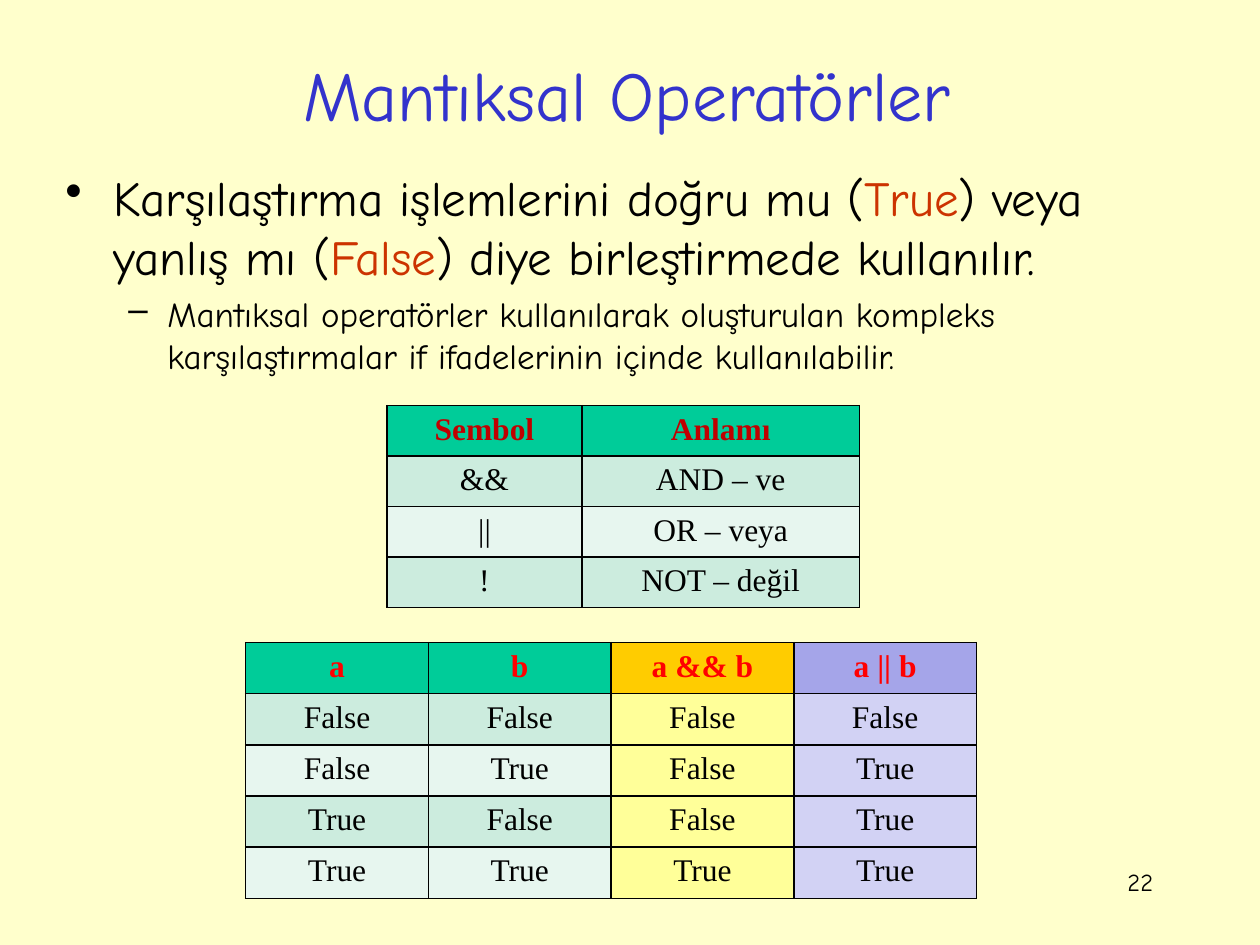
from lxml import etree
from pptx import Presentation
from pptx.dml.color import RGBColor
from pptx.enum.text import MSO_ANCHOR, PP_ALIGN
from pptx.oxml.ns import qn
from pptx.util import Inches, Pt

LEFT, CENTER, RIGHT = PP_ALIGN.LEFT, PP_ALIGN.CENTER, PP_ALIGN.RIGHT
TOP, MIDDLE = MSO_ANCHOR.TOP, MSO_ANCHOR.MIDDLE
WIDTH, HEIGHT = Inches(10), Inches(7.5)
COLUMNS, ROWS = 100, 75
HAND, SERIF = "Comic Neue", "Times New Roman"
BLACK, BLUE, ORANGE = "000000", "3333CC", "CC3300"
GREEN = ("00CC99", "CCECDE", "E7F6EF")
YELLOW = ("FFCC00", "FFFF99", "FFFF99")
VIOLET = ("A5A5E9", "D2D2F4", "D2D2F4")


def color(value):
    """Turn a hex string into a colour."""
    return RGBColor.from_string(value)


def across(columns):
    """Give the length of a number of grid columns."""
    return round(WIDTH * columns / COLUMNS)


def down(rows):
    """Give the length of a number of grid rows."""
    return round(HEIGHT * rows / ROWS)


def add_span(para, text, size, font, ink=BLACK, bold=False):
    """Add one formatted run to a paragraph."""
    span = para.add_run()
    span.text = text
    span.font.size = Pt(size)
    span.font.name = font
    span.font.bold = bold
    span.font.color.rgb = color(ink)


def add_box(page, left, top, width, height, anchor=TOP):
    """Add a wrapping text box and return its text frame."""
    box = page.shapes.add_textbox(across(left), down(top), across(width), down(height))
    frame = box.text_frame
    frame.word_wrap = True
    frame.vertical_anchor = anchor
    return frame


def add_line(page, text, place, size, ink, align, anchor=TOP):
    """Add a box that holds one line of text."""
    para = add_box(page, *place, anchor=anchor).paragraphs[0]
    para.alignment = align
    add_span(para, text, size, HAND, ink)


def add_bullet(para, mark, margin, hang, size, spans):
    """Fill a paragraph as a hanging bullet point."""
    para.alignment = LEFT
    para.space_before = Pt(size * 0.2)
    for text, ink in spans:
        add_span(para, text, size, HAND, ink)
    props = para._p.get_or_add_pPr()
    props.set("marL", str(across(margin)))
    props.set("indent", str(-across(hang)))
    etree.SubElement(props, qn("a:buChar"), char=mark)


def add_borders(cell):
    """Draw a thin black line on each side of a cell."""
    props = cell._tc.get_or_add_tcPr()
    for index, side in enumerate(("lnL", "lnR", "lnT", "lnB")):
        line = etree.Element(qn(f"a:{side}"), w=str(Pt(1)))
        fill = etree.SubElement(line, qn("a:solidFill"))
        etree.SubElement(fill, qn("a:srgbClr"), val=BLACK)
        props.insert(index, line)


def add_grid(page, left, top, widths, row_height, rows, palettes, head_ink):
    """Add a table with a bold header and alternating row fills."""
    table = page.shapes.add_table(
        len(rows), len(widths), across(left), down(top),
        across(sum(widths)), down(row_height * len(rows))).table
    for column, width in zip(table.columns, widths):
        column.width = across(width)
    for r, values in enumerate(rows):
        table.rows[r].height = down(row_height)
        header = r == 0
        shade = 0 if header else 2 - r % 2
        for c, text in enumerate(values):
            cell = table.cell(r, c)
            cell.fill.solid()
            cell.fill.fore_color.rgb = color(palettes[c][shade])
            add_borders(cell)
            para = cell.text_frame.paragraphs[0]
            para.alignment = CENTER
            add_span(para, text, 18, SERIF, head_ink if header else BLACK, header)


def add_body(page):
    """Add the explanation with its sub-point."""
    frame = add_box(page, 4.2, 12.8, 92.4, 19.1)
    add_bullet(frame.paragraphs[0], "•", 3.8, 3.8, 28, [
        ("Karşılaştırma işlemlerini doğru mu (", BLACK),
        ("True", ORANGE),
        (") veya yanlış mı (", BLACK),
        ("False", ORANGE),
        (") diye birleştirmede kullanılır.", BLACK)])
    add_bullet(frame.add_paragraph(), "–", 8.1, 3.1, 20, [
        ("Mantıksal operatörler kullanılarak oluşturulan kompleks "
         "karşılaştırmalar if ifadelerinin içinde kullanılabilir.", BLACK)])


def main():
    """Build the slide and save it."""
    deck = Presentation()
    deck.slide_width, deck.slide_height = WIDTH, HEIGHT
    page = deck.slides.add_slide(deck.slide_layouts[6])
    page.background.fill.solid()
    page.background.fill.fore_color.rgb = color("FFFFCC")

    add_line(page, "22", (71.7, 68.3, 20.8, 5), 14, BLACK, RIGHT)
    add_line(page, "Mantıksal Operatörler", (7.2, 3.6, 85.1, 7.7), 40, BLUE, CENTER, MIDDLE)
    add_body(page)

    pairs = [(a, b) for a in (False, True) for b in (False, True)]
    truth = [[str(value) for value in (a, b, a and b, a or b)] for a, b in pairs]
    add_grid(page, 19.5, 51, [14.5] * 4, 4.06, [["a", "b", "a && b", "a || b"]] + truth,
             [GREEN, GREEN, YELLOW, VIOLET], "FF0000")
    symbols = [("Sembol", "Anlamı"), ("&&", "AND – ve"),
               ("||", "OR – veya"), ("!", "NOT – değil")]
    add_grid(page, 30.7, 32.2, [15.5, 22], 3, symbols, [GREEN, GREEN], "C00000")
    deck.save("out.pptx")


main()
